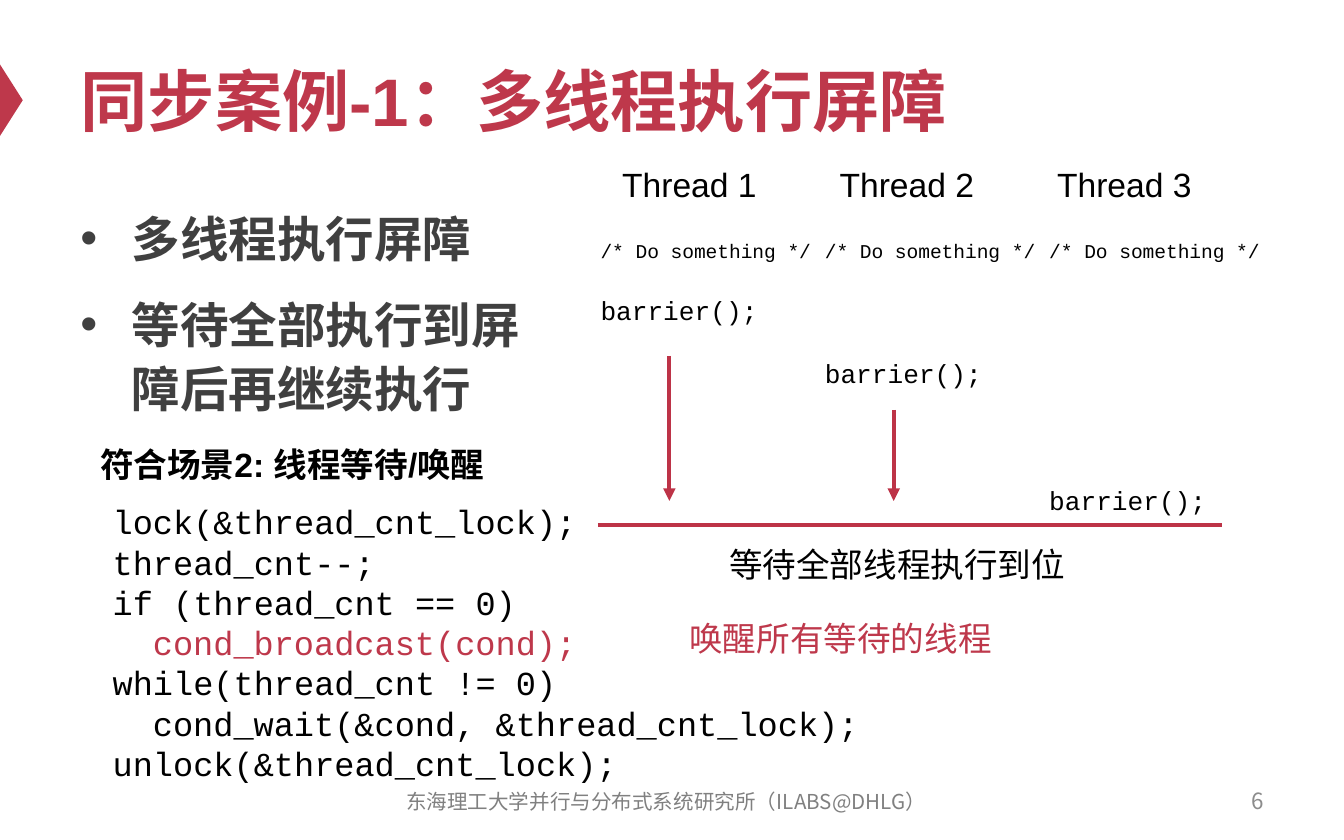
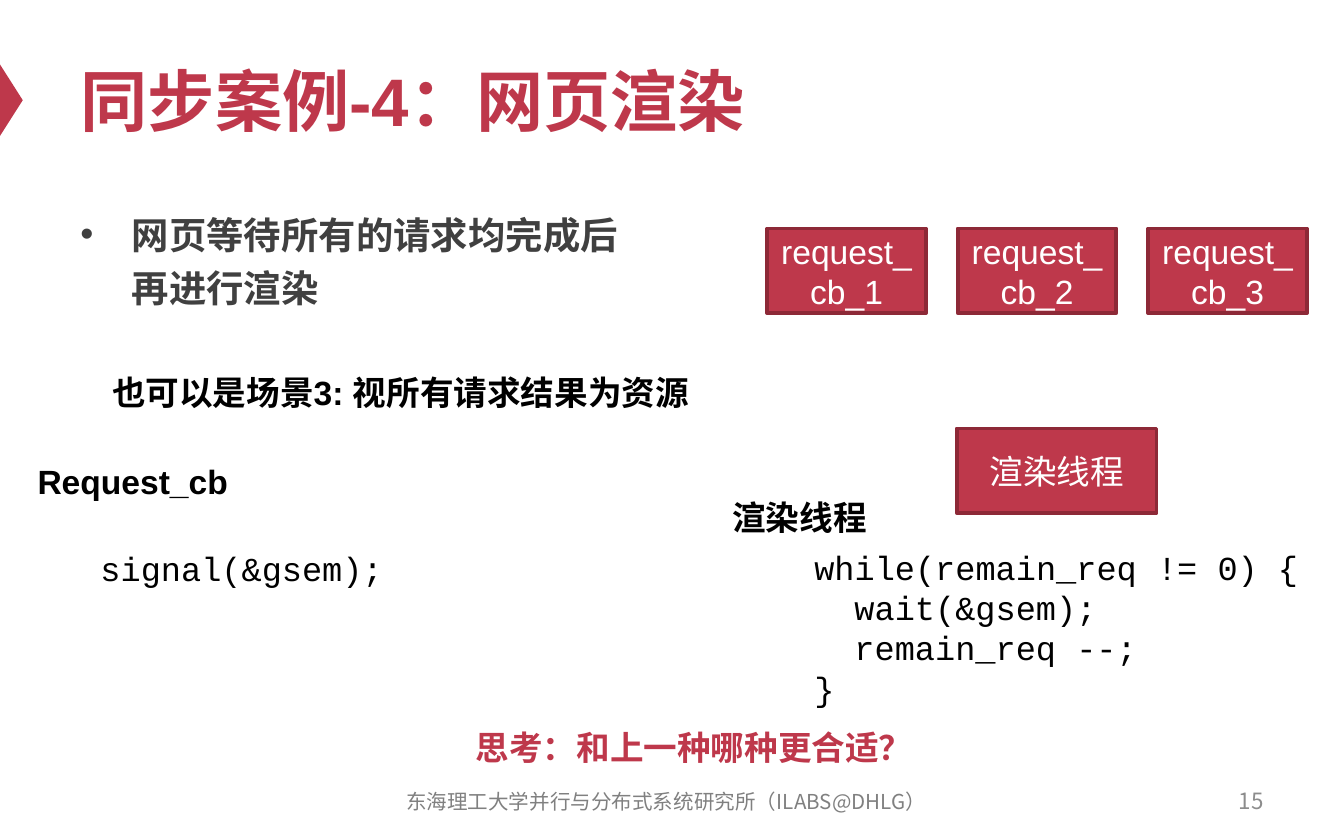
from pptx import Presentation, util as u
from pptx.dml.color import RGBColor
from pptx.enum import shapes, text
from pptx.oxml.ns import qn
from lxml import etree

Cm, Pt = u.Cm, u.Pt
COLORS = {
    "accent": "BE384B", "rule": "BD3347", "edge": "8D2937", "white": "FFFFFF",
    "black": "000000", "body": "404040", "footer": "808080", "number": "8C8C8C",
}
SANS, MONO, CJK = "Arial", "Courier New", "Noto Sans CJK SC"
ALIGN = {"l": text.PP_ALIGN.LEFT, "c": text.PP_ALIGN.CENTER, "r": text.PP_ALIGN.RIGHT}
CODE_INDENT = 0.76  # two characters of 18 pt code
FOOTER = "东海理工大学并行与分布式系统研究所（ILABS@DHLG）"


def rgb(name):
    return RGBColor.from_string(COLORS[name])


# ---- shared helpers ----
def add_paragraph(p, content, size=18, color="black", bold=False, font=SANS,
                  align="l", spacing=None, before=0, indent=0, bullet=False):
    """Format one paragraph; a vertical tab in content is a line break."""
    p.alignment = ALIGN[align]
    p.space_before = Pt(before)
    if spacing:
        p.line_spacing = spacing
    pPr = p._p.get_or_add_pPr()
    if indent:
        pPr.set("marL", str(Cm(indent)))
    if bullet:
        pPr.set("indent", str(-Cm(indent)))
        etree.SubElement(pPr, qn("a:buFont"), typeface=SANS)
        etree.SubElement(pPr, qn("a:buChar"), char="•")
    for i, part in enumerate(content.split("\v")):
        if i:
            p.add_line_break()
        r = p.add_run()
        r.text = part
        r.font.size, r.font.bold, r.font.name = Pt(size), bold, font
        r.font.color.rgb = rgb(color)
        etree.SubElement(r._r.get_or_add_rPr(), qn("a:ea"), typeface=CJK)


def write(tf, lines, anchor="t", wrap=True, **fmt):
    """Fill a frame; a line is a string or a (string, own format) pair."""
    tf.word_wrap = wrap
    tf.auto_size = text.MSO_AUTO_SIZE.NONE
    tf.vertical_anchor = {"t": text.MSO_ANCHOR.TOP, "m": text.MSO_ANCHOR.MIDDLE}[anchor]
    for i, line in enumerate([lines] if isinstance(lines, str) else lines):
        content, own = (line, {}) if isinstance(line, str) else line
        p = tf.add_paragraph() if i else tf.paragraphs[0]
        add_paragraph(p, content, **{**fmt, **own})


def add_text(s, box, lines, **fmt):
    write(s.shapes.add_textbox(*map(Cm, box)).text_frame, lines, **fmt)


def add_box(s, box, label):
    sp = s.shapes.add_shape(shapes.MSO_SHAPE.RECTANGLE, *map(Cm, box))
    sp.shadow.inherit = False
    sp.fill.solid()
    sp.fill.fore_color.rgb = rgb("accent")
    sp.line.color.rgb = rgb("edge")
    sp.line.width = Pt(2)
    write(sp.text_frame, label, anchor="m", color="white", align="c")


def add_line(s, x1, y1, x2, y2, arrow=False):
    c = s.shapes.add_connector(shapes.MSO_CONNECTOR.STRAIGHT, *map(Cm, (x1, y1, x2, y2)))
    c.line.color.rgb = rgb("rule")
    c.line.width = Pt(2.25)
    if arrow:
        etree.SubElement(c.line._get_or_add_ln(), qn("a:tailEnd"), type="triangle")
    etree.SubElement(c._element.spPr, qn("a:effectLst"))


def add_slide(prs, title, number):
    s = prs.slides.add_slide(prs.slide_layouts[5])
    # Marker at the left edge
    mark = s.shapes.add_shape(shapes.MSO_SHAPE.ISOSCELES_TRIANGLE,
                              *map(Cm, (-0.46, 1.68, 1.35, 0.43)))
    mark.rotation = 90
    mark.shadow.inherit = False
    mark.fill.solid()
    mark.fill.fore_color.rgb = rgb("accent")
    mark.line.fill.background()
    # Title
    t = s.shapes.title
    t.left, t.top, t.width, t.height = map(Cm, (1.27, 0.64, 22.86, 2.49))
    write(t.text_frame, title, anchor="m", size=36, color="accent", bold=True)
    # Page number and footer
    add_text(s, (18.21, 14.71, 5.92, 0.84), str(number), anchor="m",
             size=12, color="number", font=CJK, align="r")
    add_text(s, (7.09, 14.73, 11, 0.84), FOOTER, anchor="m",
             size=11, color="footer", font=CJK, align="c")
    return s


def add_bullets(s, box, lines, **fmt):
    add_text(s, box, lines, color="body", bold=True, before=12,
             indent=0.97, bullet=True, **fmt)


# ---- barrier slide ----
def thread_timeline(s, box):
    x, y, w, _ = box
    column = 4.24
    for i, blank_lines in enumerate((1, 3, 7)):
        add_text(s, (x + 0.41 + 4.11 * i, y, 4.39, 1.02), f"Thread {i + 1}")
        add_text(s, (x + column * i, y + 1.42, 4.55, 1.36 + 0.59 * blank_lines),
                 [("/* Do something */", {"size": 10.5}),
                  ("barrier();", {"before": 17 * blank_lines})],
                 size=14, font=MONO)
    # Barrier and the threads waiting at it
    add_line(s, x + 0.2, y + 6.96, x + w, y + 6.96)
    for i, start in enumerate((3.76, 4.78)):
        arrow_x = x + 1.55 + column * i
        add_line(s, arrow_x, y + start, arrow_x, y + 6.5, arrow=True)
    add_text(s, (x + 1.6, y + 7.19, 8.51, 1.02), "等待全部线程执行到位", align="c")
    add_text(s, (x + 0.53, y + 8.59, 8.51, 1.02), "唤醒所有等待的线程",
             color="accent", align="c")


def barrier_code(s, box):
    x, y, w, h = box
    add_text(s, (x, y, 8.51, 1.02), "符合场景2: 线程等待/唤醒", bold=True, align="c")
    add_text(s, (x + 0.61, y + 1.09, w - 0.61, h - 1.09), [
        "lock(&thread_cnt_lock);",
        "thread_cnt--;",
        "if (thread_cnt == 0)",
        ("cond_broadcast(cond);", {"color": "accent", "indent": CODE_INDENT}),
        "while(thread_cnt != 0)",
        ("cond_wait(&cond, &thread_cnt_lock);", {"indent": CODE_INDENT}),
        "unlock(&thread_cnt_lock);",
    ], font=MONO)


def barrier_slide(prs):
    s = add_slide(prs, "同步案例-1：多线程执行屏障", 6)
    add_bullets(s, (1.27, 3.71, 9.45, 4.24),
                ["多线程执行屏障", "等待全部执行到屏障后再继续执行"], size=26, spacing=1.1)
    thread_timeline(s, (11.1, 2.97, 11.99, 9.61))
    barrier_code(s, (1.27, 8.26, 16.41, 6.73))


# ---- rendering slide ----
def request_boxes(s, box):
    x, y, _, _ = box
    for i in range(3):
        add_box(s, (x + 3.6 * i, y, 3, 1.6), f"request_cb_{i + 1}")
    add_box(s, (x + 3.58, y + 3.78, 3.78, 1.6), "渲染线程")


def callback_code(s, box):
    x, y, w, _ = box
    add_text(s, (x, y, 4.14, 1.02), "Request_cb", bold=True, wrap=False)
    add_text(s, (x + 1.19, y + 1.65, w - 1.19, 1.02), "signal(&gsem);",
             font=MONO, wrap=False)


def render_code(s, box):
    x, y, w, h = box
    add_text(s, (x, y, 3.07, 1.02), "渲染线程", bold=True, wrap=False)
    add_text(s, (x + 1.55, y + 0.94, w - 1.55, h - 0.94), [
        "while(remain_req != 0) {",
        ("wait(&gsem);", {"indent": CODE_INDENT}),
        ("remain_req --;", {"indent": CODE_INDENT}),
        "}",
    ], font=MONO, wrap=False)


def render_slide(prs):
    s = add_slide(prs, "同步案例-4：网页渲染", 15)
    add_bullets(s, (1.27, 3.71, 12.57, 2.97),
                "网页等待所有的请求均完成后\v再进行渲染", size=20, spacing=1.2)
    request_boxes(s, (14.5, 4.32, 10.2, 5.38))
    add_text(s, (1.04, 6.91, 13.06, 1.02), "也可以是场景3: 视所有请求结果为资源",
             bold=True, align="c")
    callback_code(s, (0.46, 8.59, 7.06, 2.67))
    render_code(s, (13.59, 9.27, 11.25, 4.27))
    add_text(s, (7.72, 13.61, 10.8, 1.02), "思考：和上一种哪种更合适？",
             color="accent", bold=True, align="c")


def main():
    prs = Presentation()
    prs.slide_width, prs.slide_height = Cm(25.4), Cm(15.88)
    barrier_slide(prs)
    render_slide(prs)
    prs.save("out.pptx")


if __name__ == "__main__":
    main()
